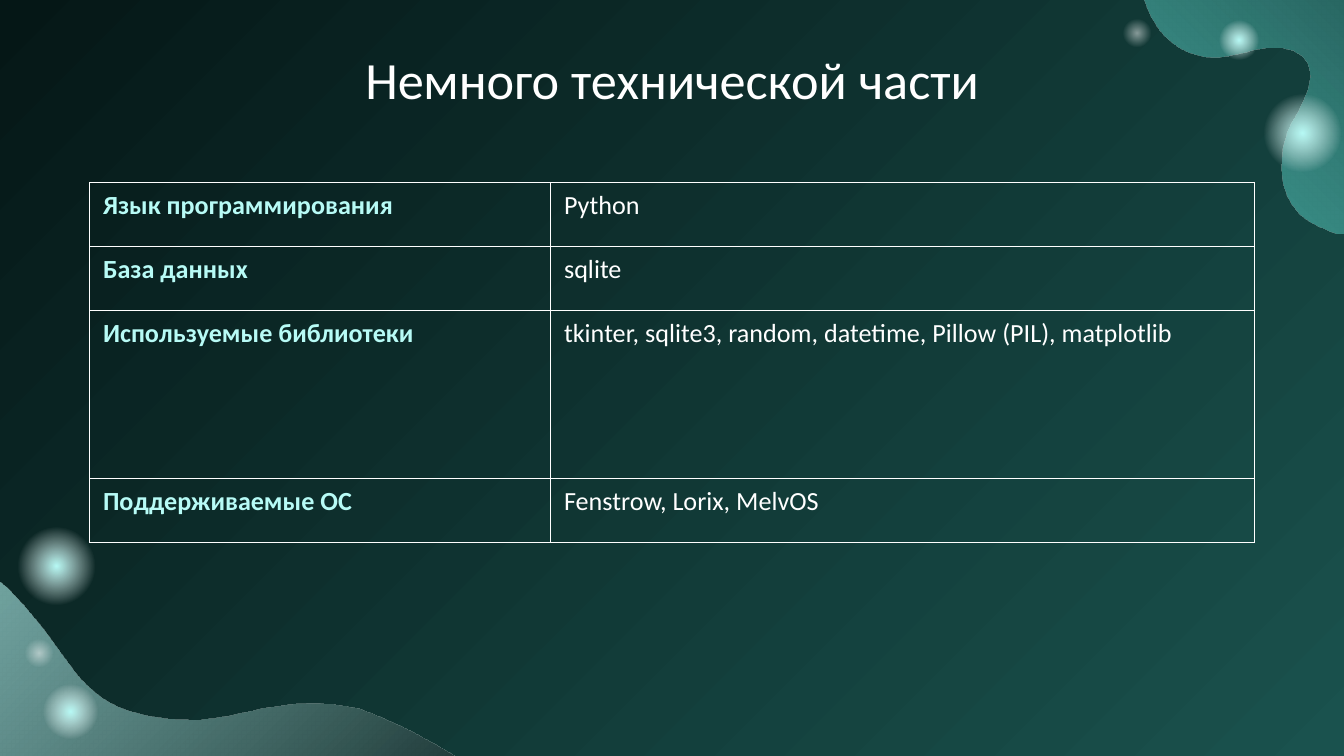
from dataclasses import dataclass

from lxml.etree import SubElement
from pptx import Presentation
from pptx.dml.color import RGBColor
from pptx.enum.shapes import MSO_SHAPE as Shape
from pptx.enum.text import PP_ALIGN as Align
from pptx.oxml import parse_xml
from pptx.oxml.ns import nsdecls, qn
from pptx.util import Pt

FONT = "Calibri"
DARK, DEEP, TEAL, MINT, WHITE = "051716", "1A524E", "63E6DB", "B7FBF6", "FFFFFF"


@dataclass
class Stop:
    place: int
    tint: str
    alpha: int = 100


@dataclass
class Blob:
    start: tuple
    curves: list
    corners: list
    tint: str
    angle: int


@dataclass
class Glow:
    left: float
    top: float
    size: float
    tint: str = MINT
    alpha: int = 100


BLOBS = [
    Blob(
        (570, -78),
        [
            (579, -78, 590, -70, 596, -65), (601, -60, 606, -54, 608, -49),
            (612, -40, 612, -30, 612, -21), (612, -14, 612, -8, 613, -1),
            (618, 15, 628, 27, 644, 30), (660, 34, 676, 21, 693, 27),
            (711, 35, 698, 55, 692, 66), (685, 80, 684, 101, 695, 113),
            (700, 119, 708, 122, 716, 125), (724, 126, 733, 124, 742, 125),
            (749, 126, 759, 130, 764, 136), (769, 143, 771, 152, 774, 160),
            (786, 192, 814, 220, 848, 226), (852, 227, 859, 228, 863, 226),
        ],
        [(787, -130)], TEAL, 135,
    ),
    Blob(
        (-94, 283),
        [
            (-89, 282, -85, 281, -80, 281), (-59, 281, -37, 289, -21, 297),
            (-1, 308, 11, 321, 24, 338), (35, 352, 43, 368, 60, 377),
            (79, 386, 107, 388, 129, 382), (150, 377, 178, 373, 199, 382),
            (222, 391, 244, 405, 264, 417), (277, 426, 290, 434, 302, 444),
        ],
        [(-94, 444)], MINT, 225,
    ),
]
GLOWS = [
    Glow(4.3, 277.2, 51.8),
    Glow(19.4, 362.9, 36.7),
    Glow(11.5, 340.6, 18.7, WHITE, 50),
    Glow(650.9, 8.6, 25.9),
    Glow(671.8, 45.4, 51.8),
    Glow(599.8, 8.6, 18.7, WHITE, 50),
]
ROWS = [
    ("Язык программирования", "Python", 34.3),
    ("База данных", "sqlite", 34.3),
    ("Используемые библиотеки",
     "tkinter, sqlite3, random, datetime, Pillow (PIL), matplotlib", 90),
    ("Поддерживаемые ОС", "Fenstrow, Lorix, MelvOS", 34.3),
]
COLS = (247, 377)


def color(tint: str) -> RGBColor:
    return RGBColor.from_string(tint)


def blend(fill, root, stops: list, angle: int | None = None) -> None:
    fill.solid()
    fill.fore_color.rgb = color(WHITE)
    solid = next(root.iter(qn("a:solidFill")))
    marks = "".join(
        f'<a:gs pos="{s.place * 1000}"><a:srgbClr val="{s.tint}">'
        f'<a:alpha val="{s.alpha * 1000}"/></a:srgbClr></a:gs>'
        for s in stops
    )
    if angle is None:
        mode = ('<a:path path="circle"><a:fillToRect l="50000" t="50000" '
                'r="50000" b="50000"/></a:path>')
    else:
        mode = f'<a:lin ang="{angle * 60000}" scaled="0"/>'
    grad = parse_xml(
        f'<a:gradFill {nsdecls("a")} rotWithShape="1">'
        f"<a:gsLst>{marks}</a:gsLst>{mode}</a:gradFill>"
    )
    solid.getparent().replace(solid, grad)


def trace(start: tuple, curves: list, steps: int = 10) -> list:
    dots = []
    x, y = start
    for a, b, c, d, e, f in curves:
        for i in range(1, steps + 1):
            t = i / steps
            u = 1 - t
            p, q, r, s = u**3, 3 * u * u * t, 3 * u * t * t, t**3
            dots.append((p * x + q * a + r * c + s * e,
                         p * y + q * b + r * d + s * f))
        x, y = e, f
    return dots


def draw_blob(slide, blob: Blob) -> None:
    x, y = blob.start
    pen = slide.shapes.build_freeform(Pt(x), Pt(y), scale=1.0)
    dots = trace(blob.start, blob.curves) + blob.corners
    pen.add_line_segments([(Pt(x), Pt(y)) for x, y in dots], close=True)
    shape = pen.convert_to_shape()
    shape.shadow.inherit = False
    shape.line.fill.background()
    stops = [Stop(0, DARK), Stop(100, blob.tint, 70)]
    blend(shape.fill, shape.element, stops, blob.angle)


def draw_glow(slide, glow: Glow) -> None:
    shape = slide.shapes.add_shape(
        Shape.OVAL, Pt(glow.left), Pt(glow.top), Pt(glow.size), Pt(glow.size))
    shape.shadow.inherit = False
    shape.line.fill.background()
    stops = [Stop(0, glow.tint, glow.alpha), Stop(57, WHITE, 0), Stop(100, WHITE, 0)]
    blend(shape.fill, shape.element, stops)


def style(frame, size: int, tint: str, bold: bool = False) -> None:
    for run in frame.paragraphs[0].runs:
        font = run.font
        font.name, font.size, font.bold = FONT, Pt(size), bold
        font.color.rgb = color(tint)


def draw_title(slide, text: str) -> None:
    box = slide.shapes.add_textbox(Pt(57), Pt(18), Pt(606), Pt(45))
    frame = box.text_frame
    frame.word_wrap = True
    frame.margin_top = frame.margin_bottom = Pt(7.2)
    frame.text = text
    frame.paragraphs[0].alignment = Align.CENTER
    style(frame, 28, WHITE)


def edge(cell) -> None:
    props = cell._tc.get_or_add_tcPr()
    for side in ("lnL", "lnR", "lnT", "lnB"):
        line = SubElement(props, qn(f"a:{side}"), w=str(Pt(0.75)))
        solid = SubElement(line, qn("a:solidFill"))
        SubElement(solid, qn("a:srgbClr"), val=WHITE)
    cell.fill.background()


def draw_table(slide) -> None:
    high = sum(row[-1] for row in ROWS)
    table = slide.shapes.add_table(
        len(ROWS), len(COLS), Pt(48), Pt(97.8), Pt(sum(COLS)), Pt(high)).table
    table.first_row = table.horz_banding = False
    for col, width in zip(table.columns, COLS):
        col.width = Pt(width)
    for i, (label, value, height) in enumerate(ROWS):
        table.rows[i].height = Pt(height)
        for j, (text, tint) in enumerate(((label, MINT), (value, WHITE))):
            cell = table.cell(i, j)
            edge(cell)
            cell.text_frame.text = text
            style(cell.text_frame, 14, tint, bold=j == 0)


def main() -> None:
    deck = Presentation()
    deck.slide_width, deck.slide_height = Pt(720), Pt(405)
    slide = deck.slides.add_slide(deck.slide_layouts[6])
    blend(slide.background.fill, slide.element, [Stop(0, DARK), Stop(100, DEEP)], 45)
    for blob in BLOBS:
        draw_blob(slide, blob)
    for glow in GLOWS:
        draw_glow(slide, glow)
    draw_title(slide, "Немного технической части")
    draw_table(slide)
    deck.save("out.pptx")


if __name__ == "__main__":
    main()
